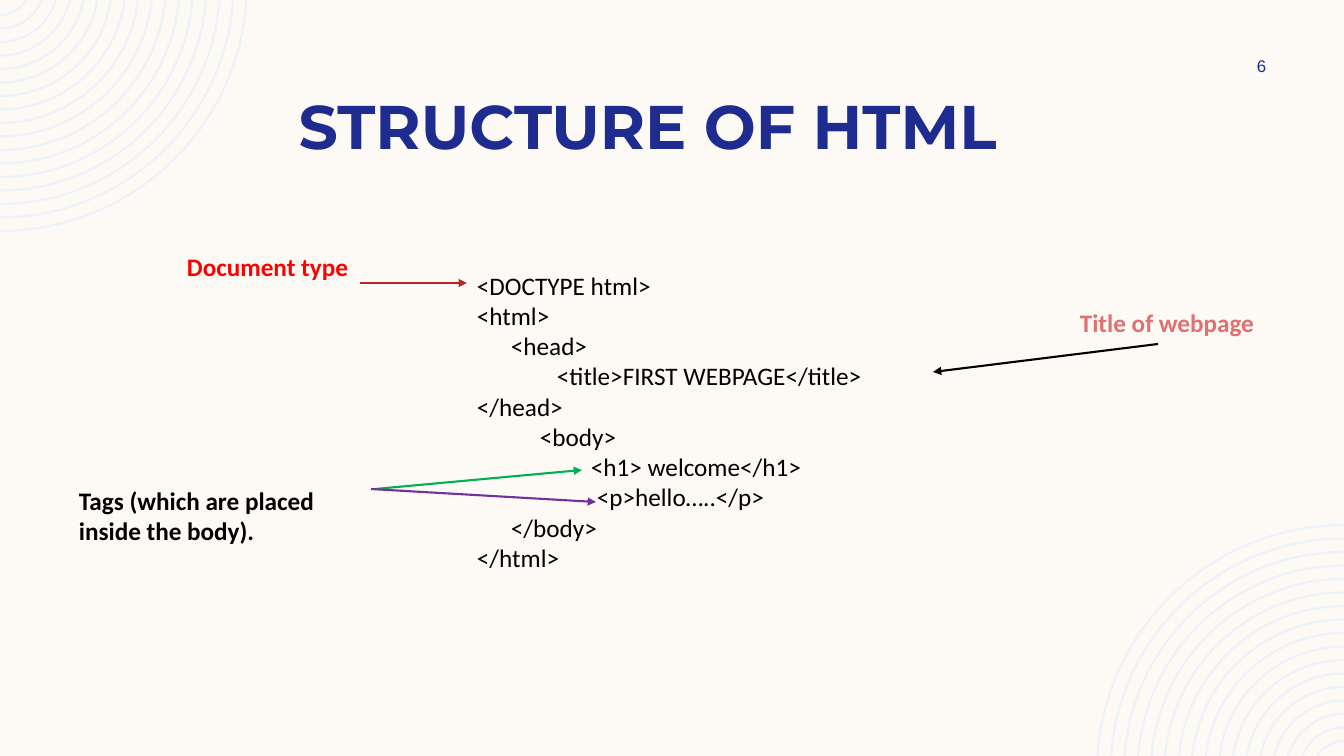
from math import asin, cos, pi, sin, tan

from lxml.etree import SubElement
from pptx import Presentation
from pptx.dml.color import RGBColor
from pptx.enum.shapes import MSO_CONNECTOR as CONN
from pptx.enum.text import MSO_ANCHOR as ANCHOR, PP_ALIGN as ALIGN
from pptx.oxml.ns import qn
from pptx.util import Pt

W, H = 1344, 756
PX = 12192000 / W  # EMU in one px

COLORS = {
    "paper": "FDFAF6", "rings": "EEF3FA", "navy": "1F2C8F", "black": "000000",
    "red": "FF0000", "crimson": "BC2529", "coral": "E26F72",
    "green": "00B050", "purple": "7030A0",
}

# Each line of code with its indent in px
CODE = [
    ("<DOCTYPE html>", 0),
    ("<html>", 0),
    ("<head>", 34),
    ("<title>FIRST WEBPAGE</title>", 80),
    ("</head>", 0),
    ("<body>", 63),
    ("<h1> welcome</h1>", 114),
    ("<p>hello…..</p>", 120),
    ("</body>", 34),
    ("</html>", 0),
]

# Text, box, colour
LABELS = [
    ("Document type", (177, 246, 220, 40), "red"),
    ("Title of webpage", (1070, 302, 260, 40), "coral"),
    ("Tags (which are placed inside the body).", (69, 480, 289, 72), "black"),
]

# Start, end, colour
ARROWS = [
    ((360, 283), (467, 283), "crimson"),
    ((1158, 344), (933, 372), "black"),
    ((375, 489), (582, 470), "green"),
    ((371, 489), (596, 502), "purple"),
]


def emu(*lengths):
    return [round(n * PX) for n in lengths]


def rgb(name):
    return RGBColor.from_string(COLORS[name])


def write(p, text, font="Calibri", size=18, color="black", bold=False,
          align=ALIGN.LEFT, indent=0):
    p.alignment = align
    if indent:
        pPr = p._p.get_or_add_pPr()
        pPr.set("marL", str(emu(indent)[0]))
        pPr.set("indent", "0")
    r = p.add_run()
    r.text = text
    f = r.font
    f.name, f.size, f.bold = font, Pt(size), bold
    f.color.rgb = rgb(color)


def text_frame(slide, box, anchor=ANCHOR.TOP):
    tf = slide.shapes.add_textbox(*emu(*box)).text_frame
    tf.word_wrap = True
    tf.vertical_anchor = anchor
    return tf


def ring_curve(corner, direction, radius, lift):
    """Bezier points of one arc, from one slide edge to the other."""
    first = asin(lift / radius)  # where the circle meets the slide edge
    k = 4 / 3 * tan((pi / 2 - first) / 4)
    x, y = cos(first), sin(first)
    points = [(x, y), (x - k * y, y + k * x), (k, 1), (0, 1)]
    return [emu(corner[0] + direction * radius * u,
                corner[1] + direction * (radius * v - lift)) for u, v in points]


def add_rings(slide, corner, direction):
    """Concentric quarter rings opening from a corner of the slide."""
    count, outer, step, lift = 17, 247, 13.5, 16
    builder = None
    for i in range(count):
        start, *rest = ring_curve(corner, direction, outer - i * step, lift)
        if builder is None:
            builder = slide.shapes.build_freeform(*start)
        else:
            builder.move_to(*start)
        builder.add_line_segments(rest, close=False)
    sp = builder.convert_to_shape()
    sp.shadow.inherit = False
    sp.fill.background()
    sp.line.color.rgb = rgb("rings")
    sp.line.width = Pt(1.75)

    # Turn each three line segments into one curve
    segments = list(sp._element.iter(qn("a:lnTo")))
    for i in range(0, len(segments), 3):
        curve = segments[i]
        curve.tag = qn("a:cubicBezTo")
        for extra in segments[i + 1:i + 3]:
            curve.append(extra[0])
            extra.getparent().remove(extra)


def add_title(slide, text, box):
    sp = slide.shapes.title
    sp.left, sp.top, sp.width, sp.height = emu(*box)
    tf = sp.text_frame
    tf.margin_left = tf.margin_right = tf.margin_top = tf.margin_bottom = 0
    tf.vertical_anchor = ANCHOR.MIDDLE
    p = tf.paragraphs[0]
    p.line_spacing = Pt(48.8)
    write(p, text, font="Montserrat", size=44, color="navy", bold=True,
          align=ALIGN.CENTER)


def add_page_number(slide, number, box):
    tf = text_frame(slide, box, ANCHOR.MIDDLE)
    write(tf.paragraphs[0], number, font="Arial", size=12, color="navy",
          align=ALIGN.CENTER)


def add_code(slide, lines, box):
    tf = text_frame(slide, box)
    for i, (text, indent) in enumerate(lines):
        p = tf.add_paragraph() if i else tf.paragraphs[0]
        write(p, text, indent=indent)


def add_label(slide, text, box, color):
    write(text_frame(slide, box).paragraphs[0], text, color=color, bold=True)


def add_arrow(slide, start, end, color):
    line = slide.shapes.add_connector(CONN.STRAIGHT, *emu(*start, *end))
    line.line.color.rgb = rgb(color)
    line.line.width = Pt(1.5)
    SubElement(line.line._get_or_add_ln(), qn("a:tailEnd"), type="triangle")
    SubElement(line._element.spPr, qn("a:effectLst"))


def main():
    prs = Presentation()
    prs.slide_width, prs.slide_height = emu(W, H)
    slide = prs.slides.add_slide(prs.slide_layouts[5])
    fill = slide.background.fill
    fill.solid()
    fill.fore_color.rgb = rgb("paper")

    # Corner decoration
    add_rings(slide, (0, 0), 1)
    add_rings(slide, (W, H), -1)

    # Heading
    add_title(slide, "STRUCTURE OF HTML", (60, 85, 1176, 85))
    add_page_number(slide, "6", (1207, 51, 109, 30))

    # Annotated code
    add_code(slide, CODE, (467, 265, 560, 316))
    for label in LABELS:
        add_label(slide, *label)
    for arrow in ARROWS:
        add_arrow(slide, *arrow)

    prs.save("out.pptx")


if __name__ == "__main__":
    main()
